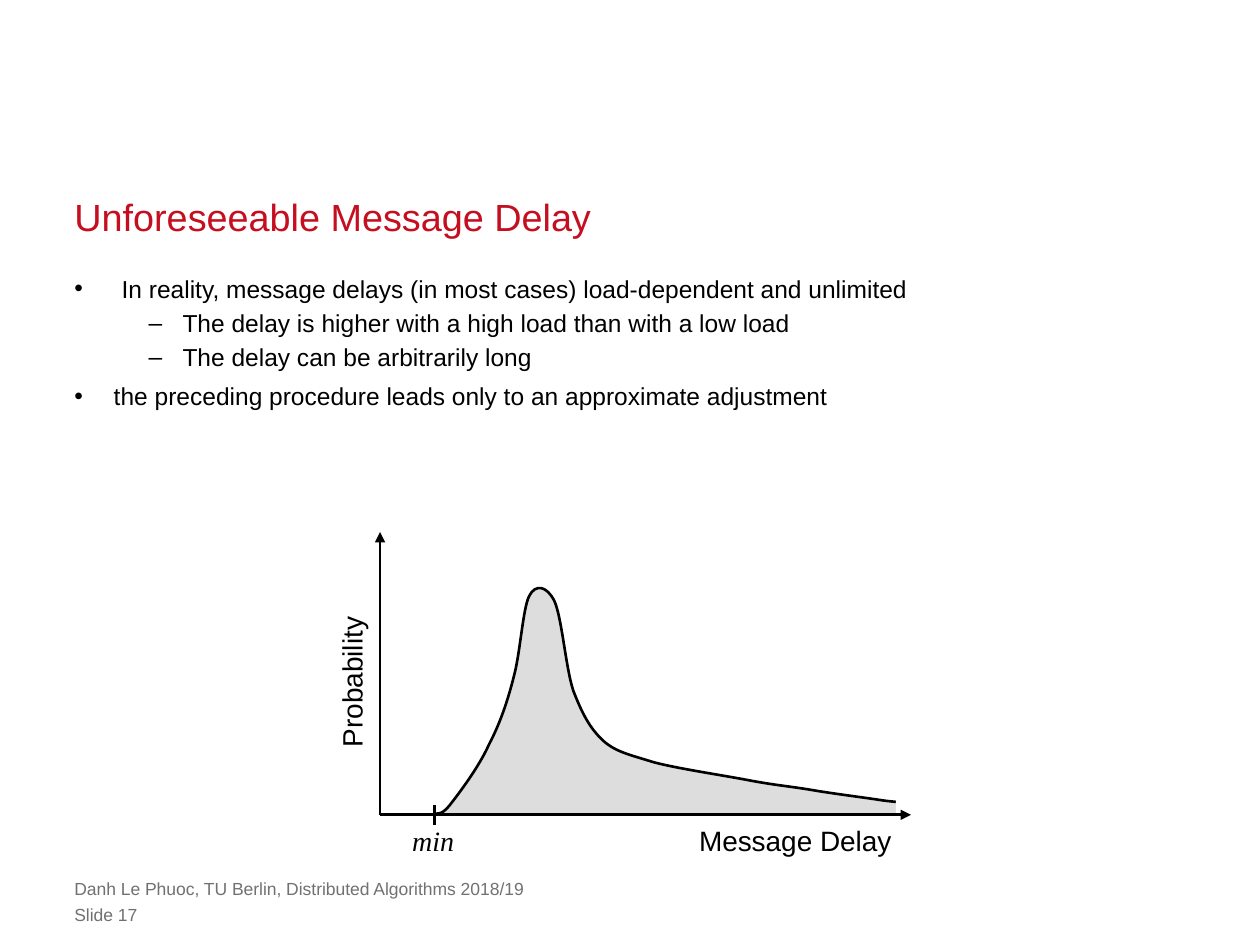
from itertools import chain

from lxml import etree
from pptx import Presentation
from pptx.dml.color import RGBColor
from pptx.enum.shapes import MSO_CONNECTOR, MSO_SHAPE
from pptx.enum.text import MSO_ANCHOR, MSO_AUTO_SIZE, PP_ALIGN
from pptx.oxml.ns import qn
from pptx.util import Pt

RED = RGBColor(0xC5, 0x0E, 0x1F)
BLACK = RGBColor(0, 0, 0)
WHITE = RGBColor(0xFF, 0xFF, 0xFF)
FOOTER_GRAY = RGBColor(0x71, 0x71, 0x71)
AREA_GRAY = RGBColor(0xDD, 0xDD, 0xDD)

LEFT, WIDTH = 42.5, 635
ORIGIN_X, ORIGIN_Y = 217.2, 465.6
LINE_WIDTH = 1.5

# text, level, left margin, hanging indent
BULLETS = [
    ("In reality, message delays (in most cases) load-dependent and unlimited", 0, 27, 27),
    ("The delay is higher with a high load than with a low load", 1, 61.8, 19.4),
    ("The delay can be arbitrarily long", 1, 61.8, 19.4),
    ("the preceding procedure leads only to an approximate adjustment", 0, 22.5, 22.5),
]

CURVE_START = (247.7, 465.1)
# two control points and an end point for each cubic segment
CURVE_SEGMENTS = [
    ((249.1, 464.4), (252, 466.6), (257, 460.1)),
    ((262.1, 453.6), (273.6, 438.5), (279.4, 425.5)),
    ((285.8, 413.3), (290.2, 400.3), (293.8, 385.9)),
    ((297.4, 372.2), (298.8, 347.8), (302.4, 340.6)),
    ((306, 333.4), (312.5, 334.8), (316.8, 343.4)),
    ((321.1, 352.8), (323.3, 381.6), (327.6, 394.6)),
    ((332.6, 407.5), (337, 416.2), (344.9, 423.4)),
    ((352.1, 429.8), (360, 431.3), (373.7, 435.6)),
    ((387.4, 439.2), (411.8, 442.8), (427, 445.7)),
    ((442.1, 448.6), (451.4, 449.3), (463.7, 451.4)),
    ((476.6, 453.6), (494.6, 455.8), (503.3, 457.2)),
    ((512.6, 458.6), (514.1, 457.9), (518.4, 459.4)),
    ((522.7, 460.8), (527.8, 464.4), (529.9, 465.8)),
]


def style_font(font, size, color, name="Arial", italic=False):
    """Set the look of a run."""
    font.name, font.size, font.italic = name, Pt(size), italic
    font.color.rgb = color


def place(shape, left, top, width, height):
    """Move and size a shape, in points."""
    shape.left, shape.top = Pt(left), Pt(top)
    shape.width, shape.height = Pt(width), Pt(height)


def clear_insets(frame):
    """Remove the inner margins of a text frame."""
    frame.margin_left = frame.margin_right = 0
    frame.margin_top = frame.margin_bottom = 0


def fill_title(title, text):
    """Fill the title placeholder."""
    place(title, LEFT, 106.5, WIDTH, 30)
    frame = title.text_frame
    clear_insets(frame)
    frame.auto_size = MSO_AUTO_SIZE.NONE
    frame.vertical_anchor = MSO_ANCHOR.BOTTOM
    paragraph = frame.paragraphs[0]
    paragraph.alignment = PP_ALIGN.LEFT
    paragraph.line_spacing = 1.5
    run = paragraph.add_run()
    run.text = text
    style_font(run.font, 21.6, RED)


def fill_bullets(body):
    """Fill the body placeholder with the two-level list."""
    place(body, LEFT, 151.2, WIDTH, 342.7)
    frame = body.text_frame
    clear_insets(frame)
    frame.auto_size = MSO_AUTO_SIZE.NONE
    for index, (text, level, margin, hanging) in enumerate(BULLETS):
        paragraph = frame.add_paragraph() if index else frame.paragraphs[0]
        paragraph.level = level
        paragraph.space_before = Pt(2.8 if level else 0)
        if level == 0:
            paragraph.line_spacing = Pt(22)
        run = paragraph.add_run()
        run.text = text
        style_font(run.font, 14, BLACK)
        properties = paragraph._p.get_or_add_pPr()
        properties.set("marL", str(Pt(margin)))
        properties.set("indent", str(-Pt(hanging)))
        bullet = etree.SubElement(properties, qn("a:buChar"))
        bullet.set("char", "–" if level else "•")


def add_label(slide, text, box, font="Arial", italic=False,
              align=PP_ALIGN.LEFT, rotation=0):
    """Add a one-line diagram label."""
    label = slide.shapes.add_textbox(*map(Pt, box))
    label.rotation = rotation
    frame = label.text_frame
    frame.word_wrap = False
    frame.auto_size = MSO_AUTO_SIZE.SHAPE_TO_FIT_TEXT
    paragraph = frame.paragraphs[0]
    paragraph.alignment = align
    run = paragraph.add_run()
    run.text = text
    style_font(run.font, 16, BLACK, font, italic)


def add_footer(slide, text, top):
    """Add one footer line."""
    frame = slide.shapes.add_textbox(Pt(LEFT), Pt(top), Pt(521), Pt(12)).text_frame
    frame.word_wrap = True
    clear_insets(frame)
    run = frame.paragraphs[0].add_run()
    run.text = text
    style_font(run.font, 10, FOOTER_GRAY)


def add_line(slide, start, end, arrow=False):
    """Add a straight black line, with an optional arrowhead at its end."""
    line = slide.shapes.add_connector(
        MSO_CONNECTOR.STRAIGHT, *map(Pt, start), *map(Pt, end))
    line.line.color.rgb = BLACK
    line.line.width = Pt(LINE_WIDTH)
    if arrow:
        head = etree.SubElement(line.line._get_or_add_ln(), qn("a:tailEnd"))
        head.set("type", "triangle")
    etree.SubElement(line._element.spPr, qn("a:effectLst"))


def bend_segments(freeform):
    """Turn every three straight segments into one cubic segment."""
    path = freeform._element.find(".//" + qn("a:path"))
    lines = path.findall(qn("a:lnTo"))
    for index in range(0, len(lines), 3):
        cubic = etree.SubElement(path, qn("a:cubicBezTo"))
        for line in lines[index:index + 3]:
            cubic.append(line[0])
            path.remove(line)


def add_density(slide):
    """Add the filled probability curve and cut off its right end."""
    builder = slide.shapes.build_freeform(*map(Pt, CURVE_START))
    points = [(Pt(x), Pt(y)) for x, y in chain.from_iterable(CURVE_SEGMENTS)]
    builder.add_line_segments(points, close=False)
    curve = builder.convert_to_shape()
    bend_segments(curve)
    curve.shadow.inherit = False
    curve.fill.solid()
    curve.fill.fore_color.rgb = AREA_GRAY
    curve.line.color.rgb = BLACK
    curve.line.width = Pt(LINE_WIDTH)

    cutoff = slide.shapes.add_shape(
        MSO_SHAPE.RECTANGLE, Pt(512), Pt(434), Pt(19.5), Pt(45.5))
    cutoff.shadow.inherit = False
    cutoff.fill.solid()
    cutoff.fill.fore_color.rgb = WHITE
    cutoff.line.fill.background()


def add_diagram(slide):
    """Add the axes, the curve and their labels."""
    add_line(slide, (ORIGIN_X, ORIGIN_Y), (ORIGIN_X, 304), arrow=True)
    add_line(slide, (248.4, 460), (248.4, 471.5))
    add_density(slide)
    add_line(slide, (ORIGIN_X, ORIGIN_Y), (520.6, ORIGIN_Y), arrow=True)
    add_label(slide, "min", (228.5, 467.3, 39, 26.6), "Times New Roman", italic=True)
    add_label(slide, "Message Delay", (390.5, 467.3, 126, 26.6), align=PP_ALIGN.RIGHT)
    add_label(slide, "Probability", (156, 375.8, 90, 26.6), rotation=270)


def main():
    """Build and save the slide."""
    presentation = Presentation()
    presentation.slide_width, presentation.slide_height = Pt(720), Pt(540)
    slide = presentation.slides.add_slide(presentation.slide_layouts[1])
    fill_title(slide.shapes.title, "Unforeseeable Message Delay")
    fill_bullets(slide.placeholders[1])
    add_diagram(slide)
    add_footer(slide, "Danh Le Phuoc, TU Berlin, Distributed Algorithms 2018/19", 501.8)
    add_footer(slide, "Slide 17", 516.5)
    presentation.save("out.pptx")


main()
